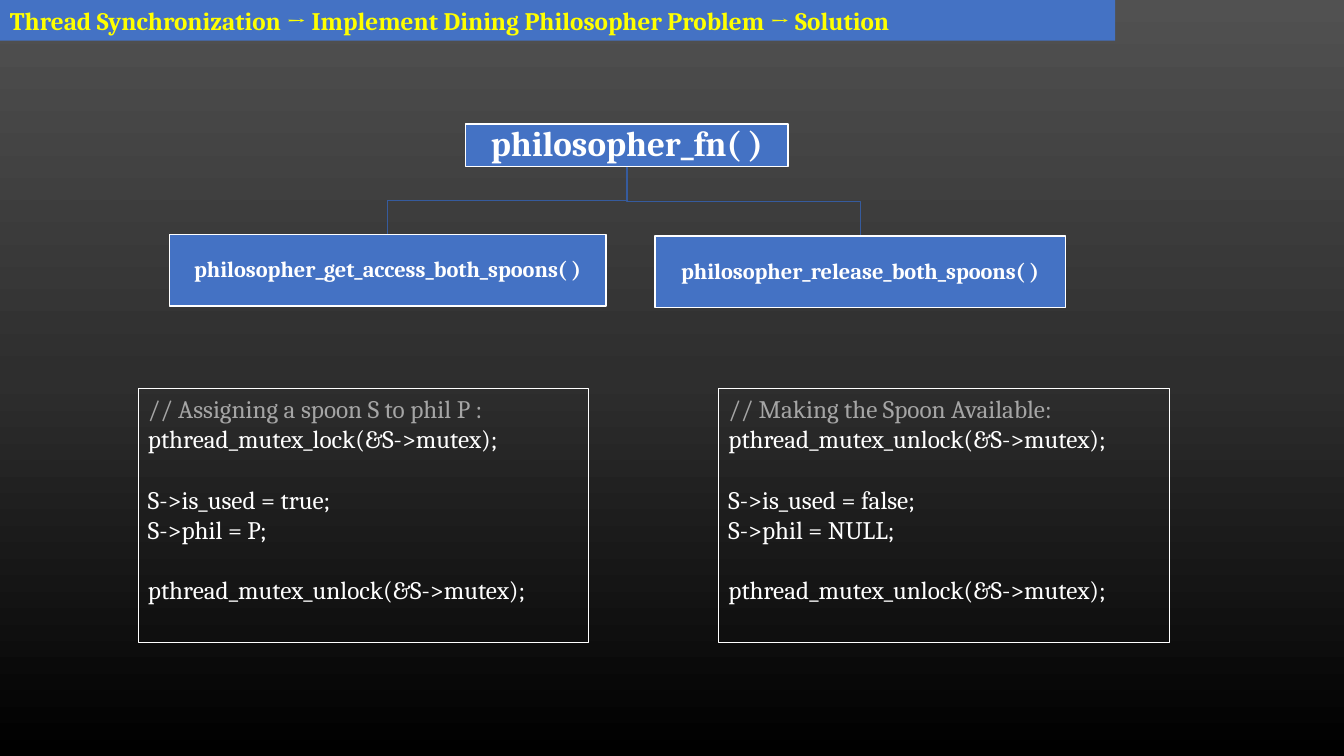
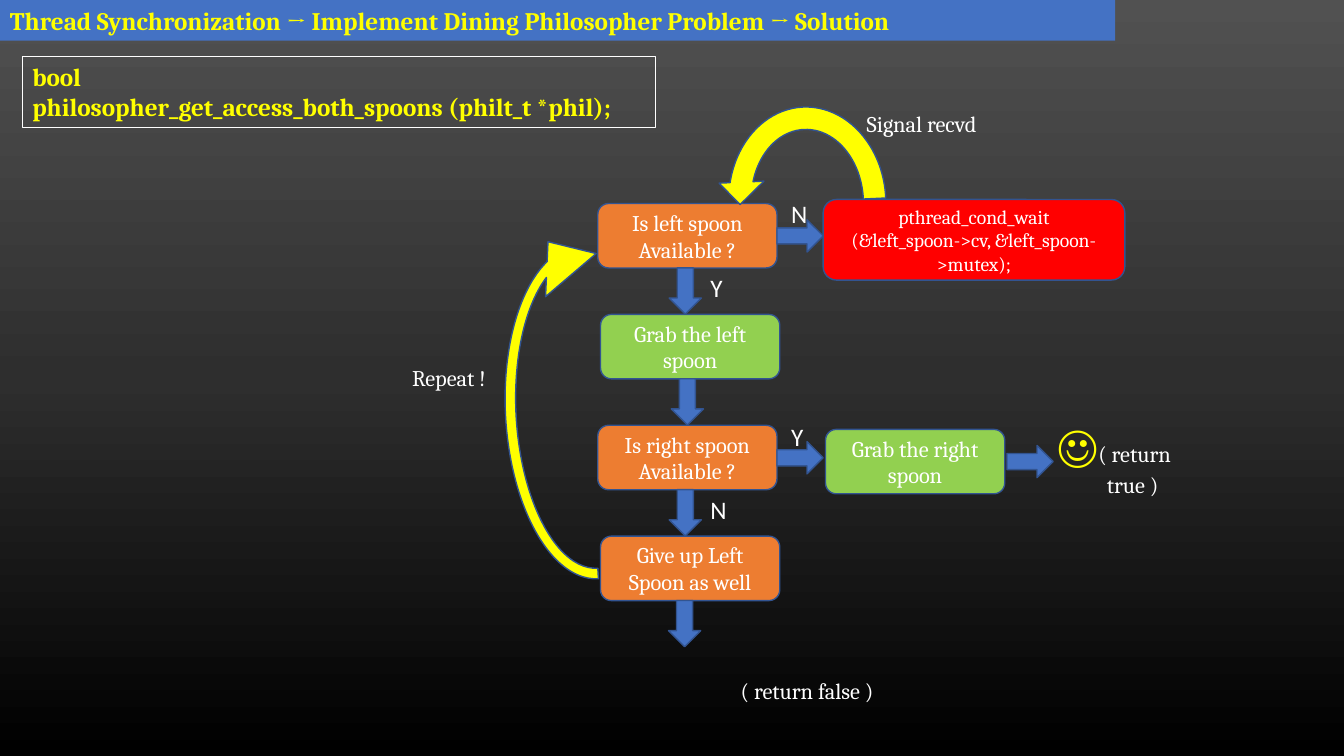
from copy import deepcopy
from dataclasses import dataclass
from typing import NamedTuple, Optional, Sequence

from pptx import Presentation
from pptx.dml.color import RGBColor as RGB
from pptx.enum.shapes import MSO_SHAPE as SHAPE
from pptx.enum.text import MSO_ANCHOR as ANCHOR, PP_ALIGN as ALIGN
from pptx.oxml.ns import qn
from pptx.util import Pt


# Theme
@dataclass(frozen=True)
class Theme:
    serif: str = "Cambria"
    sans: str = "Calibri"
    blue: RGB = RGB(0x44, 0x72, 0xC4)
    edge: RGB = RGB(0x32, 0x54, 0x91)
    link: RGB = RGB(0x36, 0x5B, 0x9D)
    orange: RGB = RGB(0xED, 0x7D, 0x31)
    green: RGB = RGB(0x92, 0xD0, 0x50)
    red: RGB = RGB(0xFF, 0x00, 0x00)
    yellow: RGB = RGB(0xFF, 0xFF, 0x00)
    white: RGB = RGB(0xFF, 0xFF, 0xFF)
    grey: RGB = RGB(0xA5, 0xA5, 0xA5)
    backdrop: tuple = ((0, RGB(0x51, 0x51, 0x51)), (0.5, RGB(0x2E, 0x2E, 0x2E)),
                       (1, RGB(0, 0, 0)))
    smiley: float = 32
    root: float = 25
    body: float = 18
    node: float = 16
    small: float = 14


T = Theme()
TITLE = "Thread Synchronization → Implement Dining Philosopher Problem → Solution"


class Box(NamedTuple):
    x: float
    y: float
    w: float
    h: float


class Run(NamedTuple):
    text: str
    size: float = T.node
    color: RGB = T.white
    bold: bool = False
    font: str = T.serif


class Para(NamedTuple):
    runs: Sequence[Run]
    before: float = 0
    indent: float = 0


class Node(NamedTuple):
    box: Box
    fill: RGB
    paras: Sequence[Para]


class Label(NamedTuple):
    box: Box
    paras: Sequence[Para]


class CodePanel(NamedTuple):
    x: float
    comment: str
    groups: Sequence[Sequence[str]]


def para(text: str, size: float = T.node, color: RGB = T.white,
         bold: bool = False, font: str = T.serif, before: float = 0) -> Para:
    return Para([Run(text, size, color, bold, font)], before)


# Drawing functions
def write(tf, paras: Sequence[Para], align=ALIGN.LEFT, anchor=ANCHOR.TOP,
          spacing: Optional[float] = None) -> None:
    tf.word_wrap = True
    tf.vertical_anchor = anchor
    for i, item in enumerate(paras):
        p = tf.paragraphs[0] if i == 0 else tf.add_paragraph()
        p.alignment = align
        if spacing:
            p.line_spacing = spacing
        if item.before:
            p.space_before = Pt(item.before)
        if item.indent:
            p._p.get_or_add_pPr().set("marL", str(Pt(item.indent)))
        for run in item.runs:
            r = p.add_run()
            r.text = run.text
            r.font.name = run.font
            r.font.size = Pt(run.size)
            r.font.bold = run.bold
            r.font.color.rgb = run.color


def paint(sp, fill: Optional[RGB], line: Optional[RGB], width: float = 1) -> None:
    sp.shadow.inherit = False
    if fill is None:
        sp.fill.background()
    else:
        sp.fill.solid()
        sp.fill.fore_color.rgb = fill
    if line is None:
        sp.line.fill.background()
    else:
        sp.line.color.rgb = line
        sp.line.width = Pt(width)


def add_box(s, kind, box: Box, fill: Optional[RGB], line: Optional[RGB], width: float = 1):
    sp = s.shapes.add_shape(kind, *map(Pt, box))
    paint(sp, fill, line, width)
    return sp


def add_text(s, box: Box, paras: Sequence[Para]) -> None:
    write(s.shapes.add_textbox(*map(Pt, box)).text_frame, paras)


def add_panel(s, box: Box, paras: Sequence[Para]) -> None:
    write(add_box(s, SHAPE.RECTANGLE, box, None, T.white, 0.75).text_frame, paras)


def add_node(s, node: Node) -> None:
    sp = add_box(s, SHAPE.ROUNDED_RECTANGLE, node.box, node.fill, T.edge)
    write(sp.text_frame, node.paras, ALIGN.CENTER, ANCHOR.MIDDLE)


def add_call(s, box: Box, name: str, size: float) -> None:
    tf = add_box(s, SHAPE.RECTANGLE, box, T.blue, T.white).text_frame
    tf.margin_left = tf.margin_right = tf.margin_top = tf.margin_bottom = Pt(1)
    write(tf, [para(name, size, bold=True)], ALIGN.CENTER, ANCHOR.MIDDLE, 0.9)


def add_elbow(s, parent: Box, child: Box) -> None:
    x1, y1 = parent.x + parent.w / 2, parent.y + parent.h
    x2, y2 = child.x + child.w / 2, child.y
    mid = (y1 + y2) / 2
    fb = s.shapes.build_freeform(Pt(x1), Pt(y1))
    fb.add_line_segments([(Pt(x), Pt(y)) for x, y in ((x1, mid), (x2, mid), (x2, y2))],
                         close=False)
    paint(fb.convert_to_shape(), None, T.link)


def add_loop(s, box: Box, rotation: float, flip: bool = False,
             adjust: Sequence[float] = ()) -> None:
    sp = add_box(s, SHAPE.CIRCULAR_ARROW, box, T.yellow, T.edge)
    sp.rotation = rotation
    for i, value in enumerate(adjust):
        sp.adjustments[i] = value
    if flip:
        sp._element.spPr.xfrm.set("flipH", "1")


def set_backdrop(prs) -> None:
    master = prs.slide_master
    fill = master.background.fill
    fill.gradient()
    fill.gradient_angle = 270
    stops = next(master._element.iter(qn("a:gsLst")))
    stops.append(deepcopy(stops[0]))
    for stop, (position, color) in zip(fill.gradient_stops, T.backdrop):
        stop.position = position
        stop.color.rgb = color


def new_slide(prs):
    s = prs.slides.add_slide(prs.slide_layouts[6])
    add_box(s, SHAPE.RECTANGLE, Box(0, 0, 796.5, 29), T.blue, None)
    add_text(s, Box(0, 0, 803.5, 29), [para(TITLE, T.body, T.yellow, True)])
    return s


# Slide 1: call tree and mutex code
def call_tree(prs) -> None:
    s = new_slide(prs)
    root = Box(332.5, 88.5, 230.5, 30.3)
    calls = [(Box(468, 168.7, 293, 51), "philosopher_release_both_spoons( )"),
             (Box(121, 167.6, 312, 51), "philosopher_get_access_both_spoons( )")]
    for box, _ in calls:
        add_elbow(s, root, box)
    add_call(s, root, "philosopher_fn( )", T.root)
    for box, name in calls:
        add_call(s, box, name, T.node)

    unlock = "pthread_mutex_unlock(&S->mutex);"
    panels = [
        CodePanel(98.6, "// Assigning a spoon S to phil P :",
                  [["pthread_mutex_lock(&S->mutex);"],
                   ["S->is_used = true;", "S->phil = P;"], [unlock]]),
        CodePanel(513.2, "// Making the Spoon Available:",
                  [[unlock], ["S->is_used = false;", "S->phil = NULL;"], [unlock]]),
    ]
    gap = 21.7
    for panel in panels:
        paras = [para(panel.comment, T.body, T.grey)]
        for g, group in enumerate(panel.groups):
            paras += [para(code, T.body, before=gap if g and not i else 0)
                      for i, code in enumerate(group)]
        add_panel(s, Box(panel.x, 277.2, 322, 181.5), paras)


# Slide 2: flow chart for taking both spoons
def flow_chart(prs) -> None:
    s = new_slide(prs)
    add_panel(s, Box(16, 40.3, 452, 51),
              [para(text, T.body, T.yellow, True) for text in
               ("bool", "philosopher_get_access_both_spoons (philt_t *phil);")])

    # Main column, each step followed by a down arrow
    top, step, w, h = 145.4, 79.2, 128, 46
    steps = [(427, 478, T.orange, "Is left spoon Available ?"),
             (429, 479.5, T.green, "Grab the left spoon"),
             (427, 478, T.orange, "Is right spoon Available ?"),
             (429, 477.5, T.orange, "Give up Left Spoon as well")]
    for i, (x, arrow_x, fill, text) in enumerate(steps):
        y = top + i * step
        add_node(s, Node(Box(x, y, w, h), fill, [para(text)]))
        add_box(s, SHAPE.DOWN_ARROW, Box(arrow_x, y + h, 23, 33), T.blue, T.edge)

    # Side branches
    add_node(s, Node(Box(588, 142.5, 215.5, 57.6), T.red,
                     [para(text, T.small) for text in
                      ("pthread_cond_wait", "(&left_spoon->cv, &left_spoon->mutex);")]))
    add_node(s, Node(Box(589.7, 306.7, w, h), T.green, [para("Grab the right spoon")]))
    for x, y in ((555, 157), (555, 315.5), (719.3, 318.2)):
        add_box(s, SHAPE.RIGHT_ARROW, Box(x, y, 33, 23), T.blue, T.edge)

    # Answers and captions
    for x, y, answer in ((558, 138.2, "N"), (500.4, 190.8, "Y"),
                         (558, 297.4, "Y"), (500.4, 349.2, "N")):
        add_text(s, Box(x, y, 28, 29), [para(answer, T.body, font=T.sans)])
    labels = [
        Label(Box(748, 294.5, 106, 65.5),
              [Para([Run("☺", T.smiley, T.yellow, font=T.sans), Run("( return")]),
               Para([Run("true )")], indent=35.5)]),
        Label(Box(522, 480.2, 122.4, 26.6), [para("( return false )")]),
        Label(Box(612, 74.9, 107.3, 26.6), [para("Signal recvd")]),
        Label(Box(287.3, 256.3, 76.3, 26.6), [para("Repeat !")]),
    ]
    for label in labels:
        add_text(s, label.box, label.paras)

    # Loops back to the first question
    add_loop(s, Box(512.6, 68.4, 128.2, 151.2), 357.4, flip=True)
    add_loop(s, Box(285.8, 218.9, 270, 151.2), 266.8,
             adjust=(0.05, 11.42, 208.04, 108, 0.13))


def main() -> None:
    prs = Presentation()
    prs.slide_width, prs.slide_height = Pt(960), Pt(540)
    set_backdrop(prs)
    call_tree(prs)
    flow_chart(prs)
    prs.save("out.pptx")


if __name__ == "__main__":
    main()
